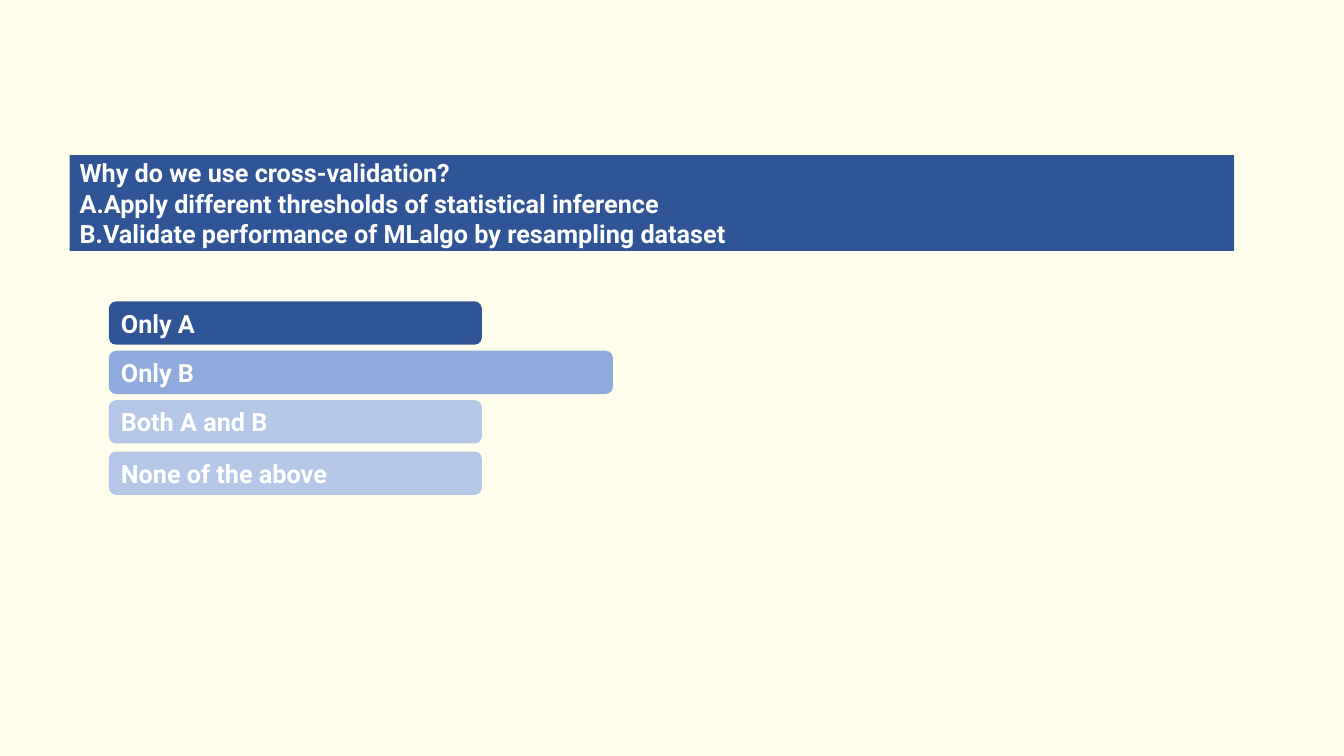
from dataclasses import dataclass

from lxml import etree
from pptx import Presentation
from pptx.dml.color import RGBColor as RGB
from pptx.enum.shapes import MSO_SHAPE as SHAPE
from pptx.enum.text import MSO_ANCHOR as ANCHOR, MSO_AUTO_SIZE as AUTO_SIZE, PP_ALIGN as ALIGN
from pptx.oxml.ns import qn
from pptx.util import Inches, Pt


@dataclass(frozen=True)
class Theme:
    background: str = "FFFEED"
    dark: str = "2F5597"
    medium: str = "8FAADC"
    light: str = "B4C7E7"
    text: str = "FFFFFF"
    font: str = "Roboto"
    size: int = 18


class QuizSlide:
    def __init__(self, prs, theme):
        self.theme = theme
        self.s = prs.slides.add_slide(prs.slide_layouts.get_by_name("Title Only"))
        fill = self.s.background.fill
        fill.solid()
        fill.fore_color.rgb = RGB.from_string(theme.background)

    def question(self, lines, left, top, width, height):
        """Turn the title placeholder into a rounded banner."""
        sp = self.s.shapes.title
        box = {"left": left, "top": top, "width": width, "height": height}
        for name, value in box.items():
            setattr(sp, name, Inches(value))
        geom = etree.Element(qn("a:prstGeom"), prst="roundRect")
        etree.SubElement(geom, qn("a:avLst"))
        sp.element.spPr.find(qn("a:xfrm")).addnext(geom)
        self.style(sp, lines, self.theme.dark)

    def answer(self, text, color, left, top, width, height):
        box = map(Inches, (left, top, width, height))
        sp = self.s.shapes.add_shape(SHAPE.ROUNDED_RECTANGLE, *box)
        sp.shadow.inherit = False
        self.style(sp, [text], color)

    def style(self, sp, lines, color):
        """Fill a shape and set its left-aligned bold text."""
        sp.fill.solid()
        sp.fill.fore_color.rgb = RGB.from_string(color)
        sp.line.fill.background()
        tf = sp.text_frame
        tf.text = "\n".join(lines)
        frame_format = {
            "word_wrap": True,
            "auto_size": AUTO_SIZE.NONE,
            "vertical_anchor": ANCHOR.MIDDLE,
        }
        for name, value in frame_format.items():
            setattr(tf, name, value)
        font_format = {"name": self.theme.font, "size": Pt(self.theme.size), "bold": True}
        for p in tf.paragraphs:
            p.alignment = ALIGN.LEFT
            for r in p.runs:
                for name, value in font_format.items():
                    setattr(r.font, name, value)
                r.font.color.rgb = RGB.from_string(self.theme.text)


def main():
    prs = Presentation()
    prs.slide_width, prs.slide_height = Inches(13.33), Inches(7.5)
    theme = Theme()
    quiz = QuizSlide(prs, theme)

    question = [
        "Why do we use cross-validation?",
        "A.Apply different thresholds of statistical inference",
        "B.Validate performance of MLalgo by resampling dataset",
    ]
    quiz.question(question, 0.69, 1.54, 11.55, 0.95)

    answers = [
        ("Only A", theme.dark, 2.99, 3.7),
        ("Only B", theme.medium, 3.48, 5),
        ("Both A and B", theme.light, 3.97, 3.7),
        ("None of the above", theme.light, 4.48, 3.7),
    ]
    for text, color, top, width in answers:
        quiz.answer(text, color, 1.08, top, width, 0.43)

    prs.save("out.pptx")


if __name__ == "__main__":
    main()
